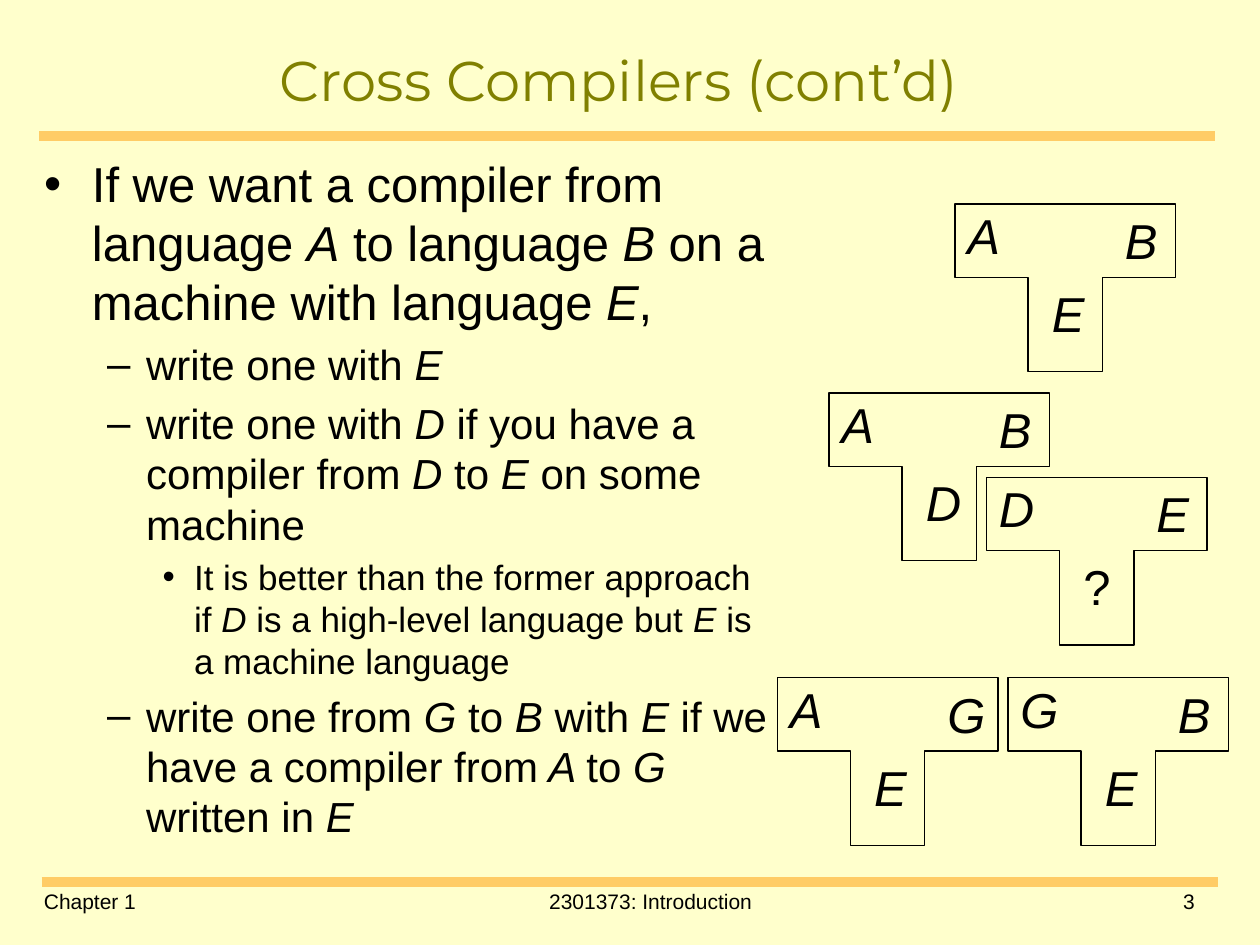
from dataclasses import dataclass

import pptx
import pptx.dml.color
import pptx.enum.shapes
import pptx.enum.text
import pptx.oxml.ns
import pptx.util
from lxml import etree

Inches = pptx.util.Inches
Pt = pptx.util.Pt
RGBColor = pptx.dml.color.RGBColor
Align = pptx.enum.text.PP_ALIGN
AutoSize = pptx.enum.text.MSO_AUTO_SIZE

CREAM = RGBColor(0xFF, 0xFF, 0xCC)
ORANGE = RGBColor(0xFF, 0xCC, 0x66)
OLIVE = RGBColor(0x80, 0x80, 0x00)
BLACK = RGBColor(0x00, 0x00, 0x00)


@dataclass
class Level:
    size: int
    margin: float
    hanging: float


@dataclass
class Bullet:
    level: int
    text: str  # parts between asterisks are italic


@dataclass
class TDiagram:
    left: float
    top: float
    source: str
    target: str
    host: str


LEVELS = [Level(28, 0.38, 0.38), Level(24, 0.81, 0.31), Level(20, 1.19, 0.25)]

BULLETS = [
    Bullet(0, "If we want a compiler from language *A* to language *B* on a machine with language *E*,"),
    Bullet(1, "write one with *E*"),
    Bullet(1, "write one with* D *if you have a compiler from* D *to *E *on some machine"),
    Bullet(2, "It is better than the former approach if *D* is a high-level language but *E* is a machine language"),
    Bullet(1, "write one from *G* to *B* with *E *if we have a compiler from* A *to *G *written in* E*"),
]

# Each inner list is one group of T-diagrams
DIAGRAM_GROUPS = [
    [TDiagram(7.58, 1.62, "A", "B", "E")],
    [TDiagram(7.83, 3.79, "D", "E", "?"), TDiagram(6.58, 3.12, "A", "B", "D")],
    [TDiagram(8, 5.38, "G", "B", "E"), TDiagram(6.17, 5.38, "A", "G", "E")],
]

T_OUTLINE = [(0, 0), (1.75, 0), (1.75, 0.58), (1.17, 0.58),
             (1.17, 1.33), (0.58, 1.33), (0.58, 0.58), (0, 0.58)]
LABEL_WIDTHS = {"D": 0.48, "G": 0.5, "?": 0.42}


def format_font(font, size: int, color: RGBColor = BLACK, name: str = "Arial") -> None:
    font.size = Pt(size)
    font.name = name
    font.color.rgb = color


def place(box, left: float, top: float, width: float, height: float) -> None:
    box.left, box.top = Inches(left), Inches(top)
    box.width, box.height = Inches(width), Inches(height)


def add_rule(page, left: float, right: float, top: float) -> None:
    rule = page.shapes.add_connector(
        pptx.enum.shapes.MSO_CONNECTOR.STRAIGHT,
        Inches(left), Inches(top), Inches(right), Inches(top))
    rule.line.color.rgb = ORANGE
    rule.line.width = Pt(6)
    etree.SubElement(rule._element.spPr, pptx.oxml.ns.qn("a:effectLst"))


def add_text(shapes, text: str, left: float, top: float, width: float,
             height: float, size: int, align: Align = Align.LEFT):
    box = shapes.add_textbox(Inches(left), Inches(top), Inches(width), Inches(height))
    box.text_frame.word_wrap = True
    box.text_frame.text = text
    para = box.text_frame.paragraphs[0]
    para.alignment = align
    format_font(para.runs[0].font, size)
    return box


def add_label(group, text: str, left: float, top: float) -> None:
    box = add_text(group.shapes, text, left, top, LABEL_WIDTHS.get(text, 0.46), 0.57, 28)
    box.text_frame.word_wrap = False
    box.text_frame.auto_size = AutoSize.SHAPE_TO_FIT_TEXT
    box.text_frame.paragraphs[0].runs[0].font.italic = text.isalpha()


def add_diagram(group, diagram: TDiagram) -> None:
    points = [(Inches(diagram.left + x), Inches(diagram.top + y)) for x, y in T_OUTLINE]
    builder = group.shapes.build_freeform(*points[0])
    builder.add_line_segments(points[1:], close=True)
    outline = builder.convert_to_shape()
    outline.shadow.inherit = False
    outline.fill.background()
    outline.line.color.rgb = BLACK
    outline.line.width = Pt(0.75)
    add_label(group, diagram.source, diagram.left, diagram.top - 0.04)
    add_label(group, diagram.host, diagram.left + 0.67, diagram.top + 0.58)
    add_label(group, diagram.target, diagram.left + 1.25, diagram.top)


def fill_bullet(para, bullet: Bullet, first: bool) -> None:
    level = LEVELS[bullet.level]
    para.level = bullet.level
    properties = para._p.get_or_add_pPr()
    properties.set("marL", str(Inches(level.margin)))
    properties.set("indent", str(-Inches(level.hanging)))
    para.space_before = Pt(0 if first else 0.2 * level.size)
    for index, part in enumerate(bullet.text.split("*")):
        if part:
            span = para.add_run()
            span.text = part
            format_font(span.font, level.size)
            span.font.italic = index % 2 == 1


def main() -> None:
    deck = pptx.Presentation()
    deck.slide_width, deck.slide_height = Inches(10), Inches(7.5)
    page = deck.slides.add_slide(deck.slide_layouts[1])
    page.background.fill.solid()
    page.background.fill.fore_color.rgb = CREAM

    # Rules and footer
    add_rule(page, 0.31, 9.64, 1.08)
    add_rule(page, 0.33, 9.67, 7)
    add_text(page.shapes, "Chapter 1", 0.25, 7, 2.25, 0.33, 12)
    add_text(page.shapes, "2301373: Introduction", 2.58, 7, 5.17, 0.33, 12, Align.CENTER)
    add_text(page.shapes, "3", 8.33, 7, 1.25, 0.33, 12, Align.RIGHT)

    # Title
    title = page.shapes.title
    place(title, 0.25, 0.25, 9.33, 0.75)
    title.text_frame.text = "Cross Compilers (cont’d)"
    title.text_frame.auto_size = AutoSize.NONE
    title.text_frame.vertical_anchor = pptx.enum.text.MSO_ANCHOR.MIDDLE
    heading = title.text_frame.paragraphs[0]
    heading.alignment = Align.CENTER
    format_font(heading.runs[0].font, 32, OLIVE, "Montserrat")

    # Bullet list
    body = page.placeholders[1]
    place(body, 0.25, 1.17, 6, 5.75)
    frame = body.text_frame
    frame.auto_size = AutoSize.NONE
    for index, bullet in enumerate(BULLETS):
        para = frame.add_paragraph() if index else frame.paragraphs[0]
        fill_bullet(para, bullet, first=index == 0)

    # T-diagrams
    for diagrams in DIAGRAM_GROUPS:
        group = page.shapes.add_group_shape()
        for diagram in diagrams:
            add_diagram(group, diagram)

    deck.save("out.pptx")


if __name__ == "__main__":
    main()
